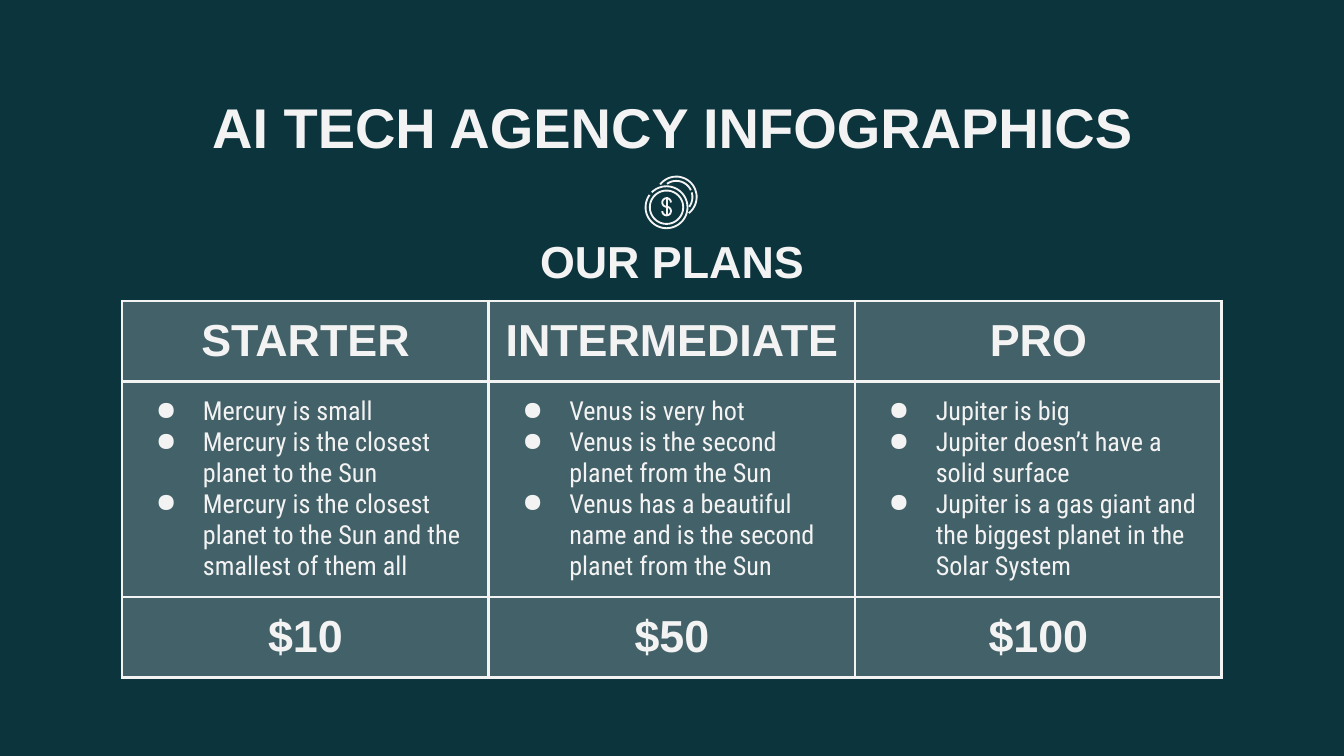
from math import cos, radians, sin

from lxml.etree import SubElement as Sub
from pptx import Presentation
from pptx.dml.color import RGBColor as Rgb
from pptx.enum.shapes import MSO_CONNECTOR as Link
from pptx.enum.text import MSO_ANCHOR as Anchor, PP_ALIGN as Align
from pptx.oxml.ns import qn
from pptx.util import Inches, Pt

WIDE, HIGH = Inches(10), Inches(5.625)
COLORS = {"back": "0C343D", "light": "F3F3F3"}
PLANS = [
    ("STARTER", ["Mercury is small",
                 "Mercury is the closest planet to the Sun",
                 "Mercury is the closest planet to the Sun and the smallest of them all"], "$10"),
    ("INTERMEDIATE", ["Venus is very hot",
                      "Venus is the second planet from the Sun",
                      "Venus has a beautiful name and is the second planet from the Sun"], "$50"),
    ("PRO", ["Jupiter is big",
             "Jupiter doesn’t have a solid surface",
             "Jupiter is a gas giant and the biggest planet in the Solar System"], "$100"),
]


def place(left, top, width, height):
    """Turn percentages of the slide into a box of lengths."""
    return (int(left * WIDE / 100), int(top * HIGH / 100),
            int(width * WIDE / 100), int(height * HIGH / 100))


def tint(node, color):
    """Add a solid colour to an XML node and return the colour element."""
    return Sub(node, qn("a:srgbClr"), val=COLORS[color])


def mark(para):
    """Give a paragraph a round bullet with a hanging indent."""
    props = para._p.get_or_add_pPr()
    props.set("marL", str(Inches(0.5)))
    props.set("indent", str(-Inches(0.35)))
    tint(Sub(props, qn("a:buClr")), "light")
    Sub(props, qn("a:buChar"), char="●")


def write(frame, lines, size=24, font="Arial", bold=True, align=Align.CENTER, bullet=False):
    """Fill a text frame with one paragraph for each line."""
    for pos, line in enumerate(lines):
        para = frame.add_paragraph() if pos else frame.paragraphs[0]
        if bullet:
            mark(para)
        para.alignment = align
        run = para.add_run()
        run.text = line
        run.font.size, run.font.name, run.font.bold = Pt(size), font, bold
        run.font.color.rgb = Rgb.from_string(COLORS["light"])


def pad(item):
    """Set equal margins on a frame or a cell."""
    item.margin_left = item.margin_right = Inches(0.1)
    item.margin_top = item.margin_bottom = Inches(0.1)


def label(slide, box, text, anchor, **style):
    """Place a single line of text in a box."""
    frame = slide.shapes.add_textbox(*box).text_frame
    frame.word_wrap = True
    frame.vertical_anchor = anchor
    pad(frame)
    write(frame, [text], **style)


def arc(mid, size, start, end):
    """List points along an arc, with angles in degrees."""
    steps = max(12, abs(end - start) // 5)
    turns = [radians(start + (end - start) * n / steps) for n in range(steps + 1)]
    return [(mid[0] + size * cos(turn), mid[1] + size * sin(turn)) for turn in turns]


def ink(shape):
    """Style a stroke of the icon."""
    shape.line.color.rgb = Rgb.from_string(COLORS["light"])
    shape.line.width = Pt(1)


def coins(slide, box):
    """Draw two coins and a dollar sign inside a box."""
    left, top, width, _ = box
    group = slide.shapes.add_group_shape().shapes
    front, back = (0.4, 0.58), (0.58, 0.39)
    strokes = [
        arc(front, 0.39, 225, 576), arc(front, 0.31, 0, 360),
        arc(back, 0.38, 218, 412), arc(back, 0.3, -17, 37), arc(back, 0.3, 235, 335),
        arc((0.4, 0.49), 0.08, 0, -270) + arc((0.4, 0.65), 0.08, -90, 180),
    ]

    def spot(point):
        """Turn shares of the icon width into a point on the slide."""
        return int(left + point[0] * width), int(top + point[1] * width)

    for stroke in strokes:
        first, *rest = map(spot, stroke)
        path = group.build_freeform(*first)
        path.add_line_segments(rest, close=False)
        shape = path.convert_to_shape()
        shape.shadow.inherit = False
        shape.fill.background()
        ink(shape)
    bar = group.add_connector(Link.STRAIGHT, *spot((0.4, 0.38)), *spot((0.4, 0.75)))
    Sub(bar._element.spPr, qn("a:effectLst"))
    ink(bar)


def dress(cell):
    """Give a cell its borders, clear fill and margins."""
    props = cell._tc.get_or_add_tcPr()
    for side in ("lnL", "lnR", "lnT", "lnB"):
        edge = Sub(props, qn("a:" + side), w=str(Pt(1.5)))
        tint(Sub(edge, qn("a:solidFill")), "light")
    shade = tint(Sub(props, qn("a:solidFill")), "light")
    Sub(shade, qn("a:alpha"), val="24000")
    cell.vertical_anchor = Anchor.MIDDLE
    pad(cell)


def prices(slide, box):
    """Build the table of plans, one column for each plan."""
    table = slide.shapes.add_table(3, len(PLANS), *box).table
    table.first_row = table.horz_banding = False
    for row, share in zip(table.rows, (0.21, 0.58, 0.21)):
        row.height = int(box[3] * share)
    for col, (name, facts, price) in enumerate(PLANS):
        table.columns[col].width = box[2] // len(PLANS)
        for row in range(3):
            dress(table.cell(row, col))
        write(table.cell(0, col).text_frame, [name])
        write(table.cell(1, col).text_frame, facts, size=14, font="Roboto Condensed",
              bold=False, align=Align.LEFT, bullet=True)
        write(table.cell(2, col).text_frame, [price])


def main():
    """Build and save the slide."""
    deck = Presentation()
    deck.slide_width, deck.slide_height = WIDE, HIGH
    slide = deck.slides.add_slide(deck.slide_layouts[6])
    fill = slide.background.fill
    fill.solid()
    fill.fore_color.rgb = Rgb.from_string(COLORS["back"])
    label(slide, place(7.9, 10.5, 84.3, 11.2), "AI TECH AGENCY INFOGRAPHICS", Anchor.TOP, size=30)
    label(slide, place(37.2, 30.9, 25.6, 8.9), "OUR PLANS", Anchor.BOTTOM)
    prices(slide, place(9.1, 39.8, 81.8, 48.9))
    coins(slide, place(48, 23.3, 4, 6.9))
    deck.save("out.pptx")


if __name__ == "__main__":
    main()
